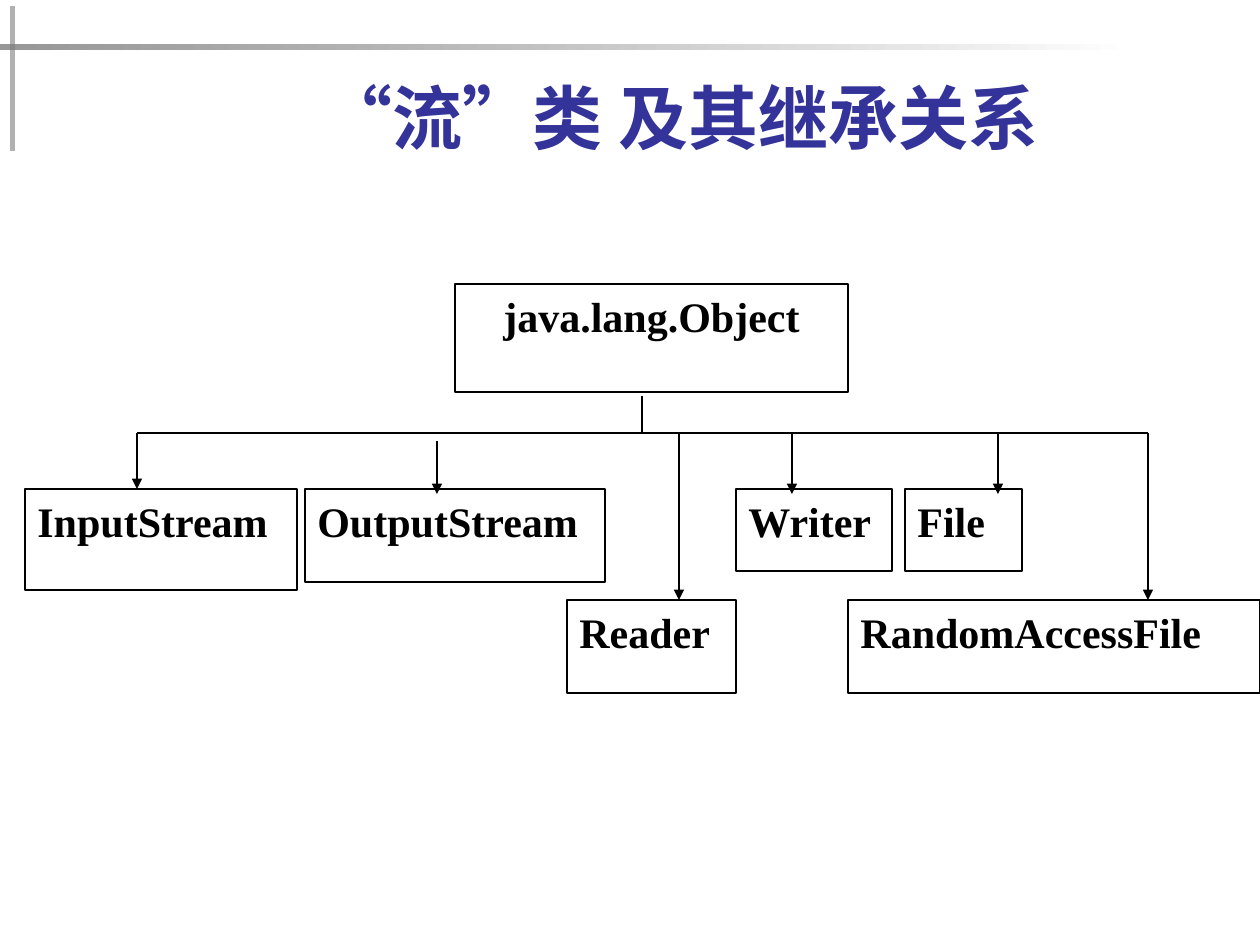
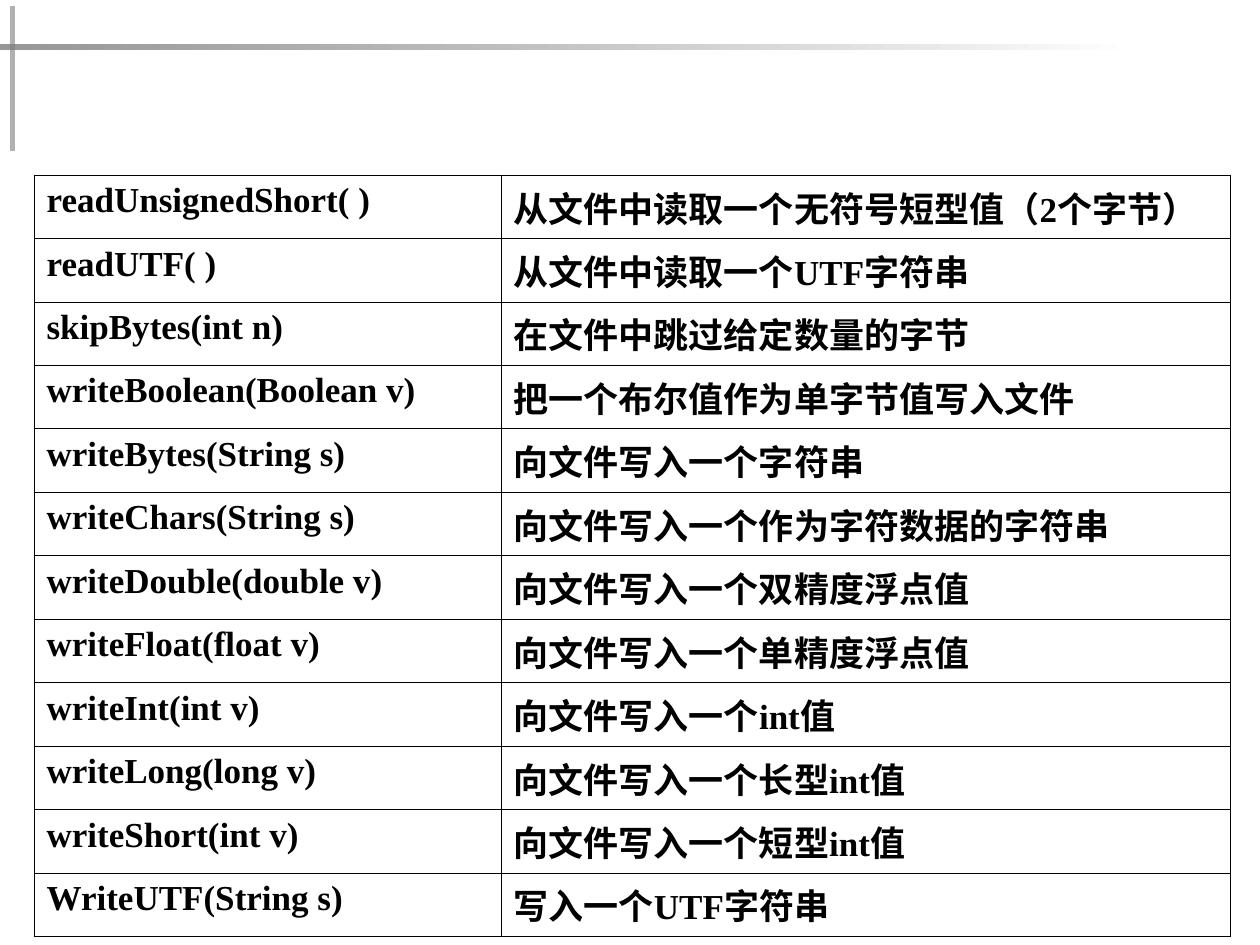
"""Build two slides: the stream class tree and a table of file methods."""
from typing import Any, NamedTuple

from lxml.etree import SubElement
from pptx import Presentation
from pptx.dml.color import RGBColor
from pptx.enum.lang import MSO_LANGUAGE_ID as LANG
from pptx.enum.shapes import MSO_CONNECTOR as CONN, MSO_SHAPE as SHAPE
from pptx.enum.text import MSO_ANCHOR as ANCHOR, MSO_AUTO_SIZE as AUTO, PP_ALIGN as ALIGN
from pptx.oxml.ns import qn
from pptx.util import Emu, Pt

PX_PER_INCH = 126
BLACK, WHITE, NAVY = "000000", "FFFFFF", "333399"
BAR, RULE = "1C1C1C", "808080"
SERIF = "Times New Roman"
TITLE_FORMAT = {"size": Pt(40), "bold": True, "language_id": LANG.SIMPLIFIED_CHINESE}
BOX_FORMAT = {"size": Pt(24), "bold": True, "name": SERIF}
CELL_FORMAT = {"size": Pt(20), "bold": True, "name": SERIF}


class Box(NamedTuple):
    """A class box with its place in px."""
    text: str
    left: int
    top: int
    width: int
    height: int
    align: ALIGN = ALIGN.JUSTIFY


class Line(NamedTuple):
    """A straight line with its ends in px."""
    x1: int
    y1: int
    x2: int
    y2: int
    arrow: bool = False


BUS_Y, UPPER_Y, LOWER_Y = 433, 489, 600
BOXES = [
    Box("java.lang.Object", 455, 284, 393, 108, ALIGN.CENTER),
    Box("InputStream", 25, UPPER_Y, 272, 101),
    Box("OutputStream", 305, UPPER_Y, 300, 93),
    Box("Writer", 736, UPPER_Y, 156, 82),
    Box("File", 905, UPPER_Y, 117, 82),
    Box("Reader", 567, LOWER_Y, 169, 93),
    Box("RandomAccessFile", 848, LOWER_Y, 412, 93),
]
LINES = [
    Line(137, BUS_Y, 1148, BUS_Y),
    Line(642, 396, 642, BUS_Y),
    Line(137, BUS_Y, 137, UPPER_Y, True),
    Line(437, 441, 437, 494, True),
    Line(679, BUS_Y, 679, LOWER_Y, True),
    Line(792, BUS_Y, 792, 494, True),
    Line(998, BUS_Y, 998, 494, True),
    Line(1148, BUS_Y, 1148, LOWER_Y, True),
]
TITLE_RUNS = [("“", "Arial"), ("流", "Cabin"), ("”", "Arial"), ("类 及其继承关系", "Cabin")]
COLUMNS, ROW_HEIGHT = (467, 729), 55
METHODS = [
    ("readUnsignedShort( )", "从文件中读取一个无符号短型值（2个字节）"),
    ("readUTF( )", "从文件中读取一个UTF字符串"),
    ("skipBytes(int n)", "在文件中跳过给定数量的字节"),
    ("writeBoolean(Boolean v)", "把一个布尔值作为单字节值写入文件"),
    ("writeBytes(String s)", "向文件写入一个字符串"),
    ("writeChars(String s)", "向文件写入一个作为字符数据的字符串"),
    ("writeDouble(double v)", "向文件写入一个双精度浮点值"),
    ("writeFloat(float v)", "向文件写入一个单精度浮点值"),
    ("writeInt(int v)", "向文件写入一个int值"),
    ("writeLong(long v)", "向文件写入一个长型int值"),
    ("writeShort(int v)", "向文件写入一个短型int值"),
    ("WriteUTF(String s)", "写入一个UTF字符串"),
]


def px(n: int) -> Emu:
    """Turn px into EMU."""
    return Emu(round(n * 914400 / PX_PER_INCH))


def rgb(value: str) -> RGBColor:
    """Turn a hex string into a colour."""
    return RGBColor.from_string(value)


def add_run(p: Any, text: str, color: str, values: dict[str, Any]) -> None:
    """Add a run with the given font values."""
    r = p.add_run()
    r.text = text
    r.font.color.rgb = rgb(color)
    for key, value in values.items():
        setattr(r.font, key, value)


def add_rect(s: Any, left: int, top: int, width: int, height: int) -> Any:
    """Add a rectangle without a shadow."""
    sp = s.shapes.add_shape(SHAPE.RECTANGLE, px(left), px(top), px(width), px(height))
    sp.shadow.inherit = False
    return sp


def set_alpha(sp: Any, percent: int) -> None:
    """Make the first fill colour of a shape partly transparent."""
    clr = next(sp.fill._xPr.iter(qn("a:srgbClr")))
    SubElement(clr, qn("a:alpha"), val=str(percent * 1000))


def add_frame(s: Any) -> None:
    """Draw the crossing bars that all slides share."""
    bar = add_rect(s, 10, 6, 5, 145)
    bar.fill.solid()
    bar.fill.fore_color.rgb = rgb(BAR)
    set_alpha(bar, 34)
    rule = add_rect(s, 0, 45, 1134, 5)
    rule.fill.gradient()
    rule.fill.gradient_angle = 0
    for stop, color in zip(rule.fill.gradient_stops, (RULE, WHITE)):
        stop.color.rgb = rgb(color)
    set_alpha(rule, 81)
    for sp in (bar, rule):
        sp.line.fill.background()


def add_title(s: Any) -> None:
    """Place and fill the title placeholder."""
    sp = s.shapes.title
    place = {"left": px(144), "top": px(66), "width": px(1073), "height": px(99)}
    for key, value in place.items():
        setattr(sp, key, value)
    tf = sp.text_frame
    tf.auto_size, tf.vertical_anchor = AUTO.NONE, ANCHOR.BOTTOM
    p = tf.paragraphs[0]
    p.alignment = ALIGN.CENTER
    for text, font in TITLE_RUNS:
        add_run(p, text, NAVY, TITLE_FORMAT | {"name": font})


def add_box(s: Any, box: Box) -> None:
    """Draw one class box."""
    sp = add_rect(s, box.left, box.top, box.width, box.height)
    sp.fill.solid()
    sp.fill.fore_color.rgb = rgb(WHITE)
    sp.line.color.rgb = rgb(BLACK)
    sp.line.width = Pt(0.75)
    tf = sp.text_frame
    tf.word_wrap, tf.vertical_anchor = True, ANCHOR.TOP
    p = tf.paragraphs[0]
    p.alignment = box.align
    add_run(p, box.text, BLACK, BOX_FORMAT)


def add_line(s: Any, line: Line) -> None:
    """Draw one line, with an arrowhead if it has one."""
    ends = (px(n) for n in (line.x1, line.y1, line.x2, line.y2))
    cxn = s.shapes.add_connector(CONN.STRAIGHT, *ends)
    cxn.line.color.rgb = rgb(BLACK)
    cxn.line.width = Pt(0.75)
    if line.arrow:
        SubElement(cxn.line._get_or_add_ln(), qn("a:tailEnd"), type="triangle")
    SubElement(cxn._element.spPr, qn("a:effectLst"))


def format_cell(cell: Any, text: str) -> None:
    """Fill one table cell and give it thin black borders."""
    tcPr = cell._tc.get_or_add_tcPr()
    for side in ("lnL", "lnR", "lnT", "lnB"):
        ln = SubElement(tcPr, qn(f"a:{side}"), w=str(Pt(0.45)))
        SubElement(SubElement(ln, qn("a:solidFill")), qn("a:srgbClr"), val=BLACK)
    cell.fill.background()
    add_run(cell.text_frame.paragraphs[0], text, BLACK, CELL_FORMAT)


def add_methods(s: Any) -> None:
    """Draw the table of methods."""
    frame = s.shapes.add_table(len(METHODS), len(COLUMNS), px(34), px(175),
                               px(sum(COLUMNS)), px(ROW_HEIGHT * len(METHODS)))
    table = frame.table
    table.first_row = table.horz_banding = False
    for column, width in zip(table.columns, COLUMNS):
        column.width = px(width)
    for row, texts in zip(table.rows, METHODS):
        row.height = px(ROW_HEIGHT)
        for cell, text in zip(row.cells, texts):
            format_cell(cell, text)


def main() -> None:
    """Build and save the slides."""
    prs = Presentation()
    prs.slide_width, prs.slide_height = px(1260), px(945)
    title_only, blank = prs.slide_layouts[5], prs.slide_layouts[6]

    s = prs.slides.add_slide(title_only)
    add_frame(s)
    add_title(s)
    for box in BOXES:
        add_box(s, box)
    for line in LINES:
        add_line(s, line)

    s = prs.slides.add_slide(blank)
    add_frame(s)
    add_methods(s)
    prs.save("out.pptx")


if __name__ == "__main__":
    main()
